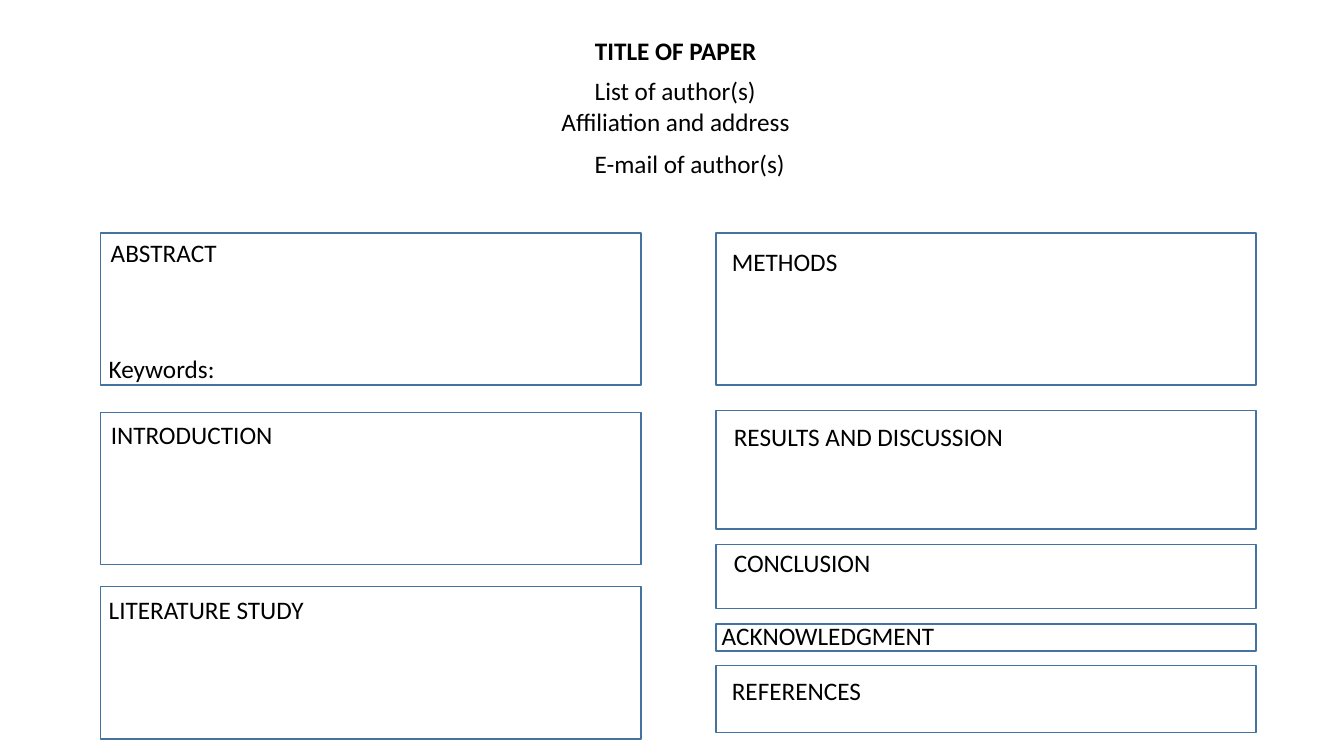
from pptx import Presentation
from pptx.dml.color import RGBColor
from pptx.enum.shapes import MSO_SHAPE
from pptx.enum.text import MSO_ANCHOR, MSO_AUTO_SIZE, PP_ALIGN
from pptx.util import Inches, Pt

COLORS = {"text": "000000", "border": "43739E"}
FONT = "Calibri"
LABEL_HEIGHT = 0.4
COLUMN_WIDTH = 5.36
LEFT_COLUMN, RIGHT_COLUMN = 1, 7.1

# Header lines: left offset, top offset, width, text
HEADER_TITLE = (0.33, 0, 1.82, "TITLE OF PAPER")
HEADER_LINES = [
    (0.33, 0.4, 1.82, "List of author(s)"),
    (0, 0.71, 2.48, "Affiliation and address"),
    (0.33, 1.12, 2.11, "E-mail of author(s)"),
]

# Sections: top, height, labels as (left offset, top offset, width, text)
LEFT_SECTIONS = [
    (2.31, 1.51, [(0, 0, 1.26, "ABSTRACT"), (-0.02, 1.15, 1.26, "Keywords:")]),
    (4.09, 1.51, [(0, 0.02, 1.82, "INTRODUCTION")]),
    (5.82, 1.51, [(-0.02, 0.03, 2.15, "LITERATURE STUDY")]),
]
RIGHT_SECTIONS = [
    (2.31, 1.51, [(0.06, 0.08, 1.26, "METHODS")]),
    (4.07, 1.18, [(0.08, 0.06, 2.9, "RESULTS AND DISCUSSION")]),
    (5.4, 0.64, [(0.08, -0.02, 1.57, "CONCLUSION")]),
    (6.19, 0.27, [(-0.04, -0.08, 2.33, "ACKNOWLEDGMENT")]),
    (6.6, 0.67, [(0.06, 0.05, 1.49, "REFERENCES")]),
]


def write_label(shape, text, bold=False):
    frame = shape.text_frame
    frame.word_wrap = False
    frame.auto_size = MSO_AUTO_SIZE.SHAPE_TO_FIT_TEXT
    frame.vertical_anchor = MSO_ANCHOR.TOP
    paragraph = frame.paragraphs[0]
    paragraph.alignment = PP_ALIGN.LEFT
    run = paragraph.add_run()
    run.text = text
    run.font.name = FONT
    run.font.size = Pt(18)
    run.font.bold = bold
    run.font.color.rgb = RGBColor.from_string(COLORS["text"])


def add_label(slide, left, top, label):
    offset_x, offset_y, width, text = label
    shape = slide.shapes.add_textbox(
        Inches(left + offset_x), Inches(top + offset_y),
        Inches(width), Inches(LABEL_HEIGHT))
    write_label(shape, text)


def add_header(slide, left, top):
    # Paper title in the title placeholder
    offset_x, offset_y, width, text = HEADER_TITLE
    title = slide.shapes.title
    title.left, title.top = Inches(left + offset_x), Inches(top + offset_y)
    title.width, title.height = Inches(width), Inches(LABEL_HEIGHT)
    write_label(title, text, bold=True)
    # Authors, affiliation and e-mail
    for line in HEADER_LINES:
        add_label(slide, left, top, line)


def add_column(slide, left, width, sections):
    for top, height, labels in sections:
        # Outlined section box
        box = slide.shapes.add_shape(
            MSO_SHAPE.RECTANGLE, Inches(left), Inches(top),
            Inches(width), Inches(height))
        box.shadow.inherit = False
        box.fill.background()
        box.line.color.rgb = RGBColor.from_string(COLORS["border"])
        box.line.width = Pt(1)
        # Labels placed from the box corner
        for label in labels:
            add_label(slide, left, top, label)


def main():
    presentation = Presentation()
    presentation.slide_width = Inches(13.33)
    presentation.slide_height = Inches(7.5)
    slide = presentation.slides.add_slide(presentation.slide_layouts[5])
    add_header(slide, 5.47, 0.3)
    add_column(slide, LEFT_COLUMN, COLUMN_WIDTH, LEFT_SECTIONS)
    add_column(slide, RIGHT_COLUMN, COLUMN_WIDTH, RIGHT_SECTIONS)
    presentation.save("out.pptx")


if __name__ == "__main__":
    main()
